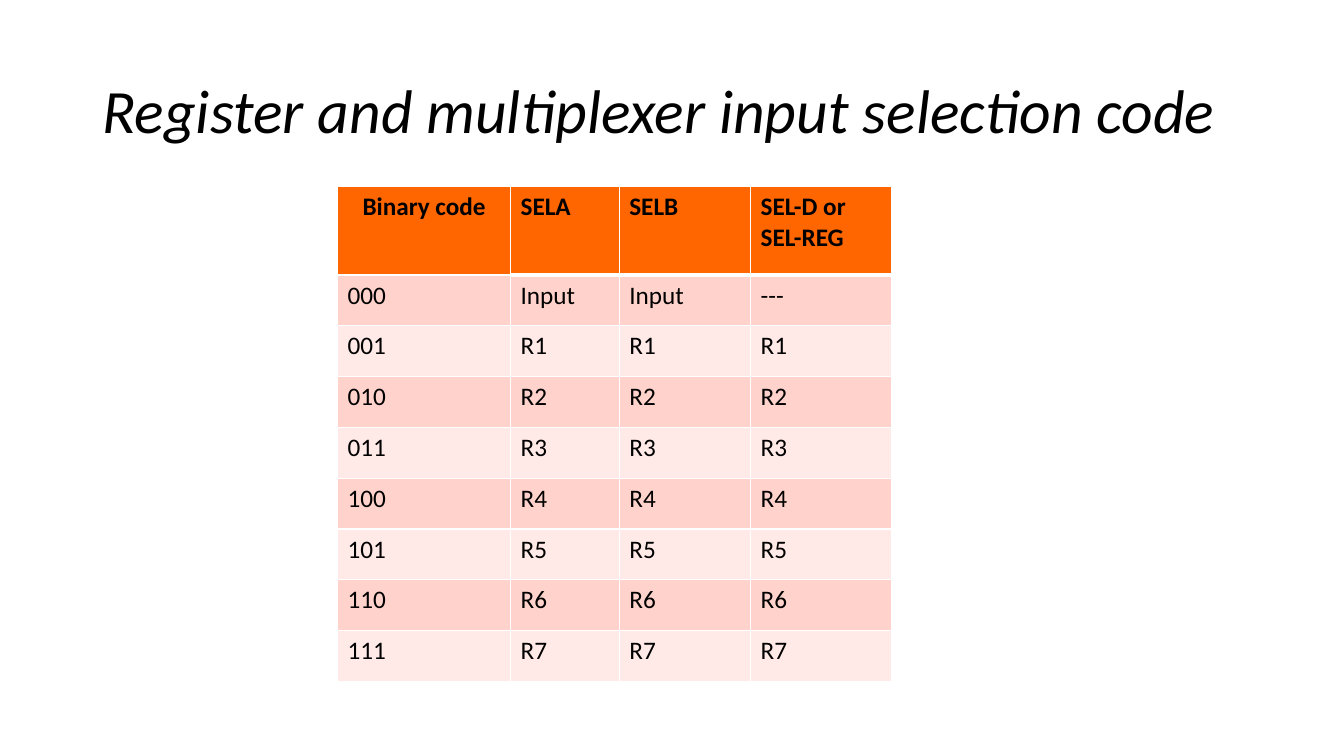
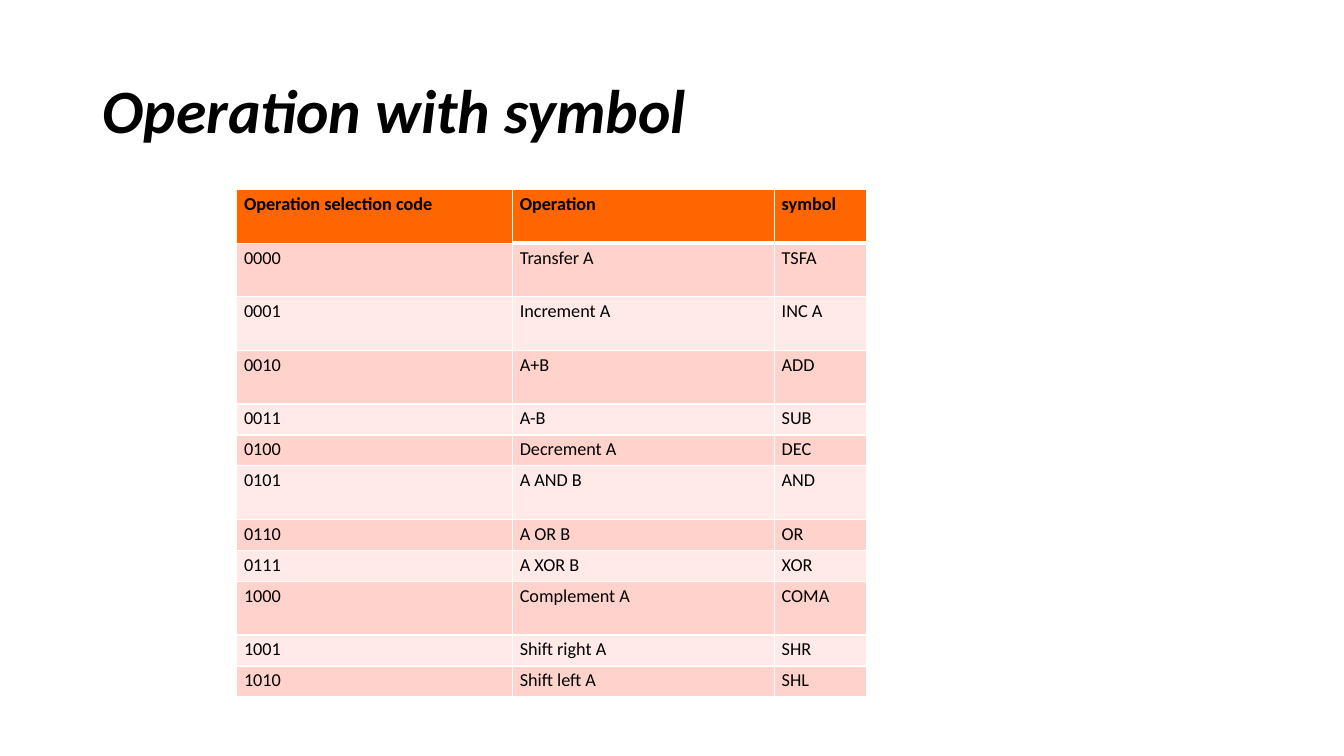
from lxml.etree import SubElement
from pptx import Presentation
from pptx.dml.color import RGBColor
from pptx.enum.text import MSO_ANCHOR, PP_ALIGN
from pptx.oxml.ns import qn
from pptx.util import Cm, Pt

COLORS = {
    "text": "000000",
    "header": "FF6600",
    "odd_row": "FFD3CB",
    "even_row": "FFEAE7",
    "rule": "FFFFFF",
}
FONT = "Calibri"
TITLE_ONLY = 5
TITLE_BOX = (2.33, 1.01, 29.21, 3.68)

REGISTER_HEADINGS = ("Binary code", "SELA", "SELB", "SEL-D or SEL-REG")
REGISTER_CODES = [("000", "Input", "Input", "---")] + [
    (f"{number:03b}",) + (f"R{number}",) * 3 for number in range(1, 8)
]

OPERATION_HEADINGS = ("Operation selection code", "Operation", "symbol")
OPERATIONS = [
    ("Transfer A", "TSFA"),
    ("Increment A", "INC A"),
    ("A+B", "ADD"),
    ("A-B", "SUB"),
    ("Decrement A", "DEC"),
    ("A AND B", "AND"),
    ("A OR B", "OR"),
    ("A XOR B", "XOR"),
    ("Complement A", "COMA"),
    ("Shift right A", "SHR"),
    ("Shift left A", "SHL"),
]
OPERATION_CODES = [
    (f"{code:04b}", *operation) for code, operation in enumerate(OPERATIONS)
]
TALL, SHORT = 1.35, 0.78
TALL_OPERATION_ROWS = {0, 1, 2, 3, 6, 9}


def style_font(font, size, bold, italic=False):
    font.name = FONT
    font.size = Pt(size)
    font.bold = bold
    font.italic = italic
    font.color.rgb = RGBColor.from_string(COLORS["text"])


def add_titled_slide(deck, title_text, bold):
    slide = deck.slides.add_slide(deck.slide_layouts[TITLE_ONLY])
    title = slide.shapes.title
    title.left, title.top, title.width, title.height = map(Cm, TITLE_BOX)
    title.text_frame.text = title_text
    title.text_frame.vertical_anchor = MSO_ANCHOR.MIDDLE
    paragraph = title.text_frame.paragraphs[0]
    paragraph.alignment = PP_ALIGN.LEFT
    paragraph.line_spacing = 0.9
    style_font(paragraph.runs[0].font, 44, bold, italic=True)
    return slide


def set_borders(cell, top, bottom):
    """Rule all four sides of a cell; top and bottom widths are in points."""
    properties = cell._tc.get_or_add_tcPr()
    sides = {"a:lnL": 1, "a:lnR": 1, "a:lnT": top, "a:lnB": bottom}
    for position, (side, width) in enumerate(sides.items()):
        line = SubElement(properties, qn(side), w=str(Pt(width)))
        fill = SubElement(line, qn("a:solidFill"))
        SubElement(fill, qn("a:srgbClr"), val=COLORS["rule"])
        properties.insert(position, line)


def fill_cell(cell, text, row, column, size, margins):
    cell.margin_left = cell.margin_right = Cm(margins[0])
    cell.margin_top = cell.margin_bottom = Cm(margins[1])
    cell.text_frame.text = text
    style_font(cell.text_frame.paragraphs[0].runs[0].font, size, bold=row == 0)
    band = "header" if row == 0 else "odd_row" if row % 2 else "even_row"
    cell.fill.solid()
    cell.fill.fore_color.rgb = RGBColor.from_string(COLORS[band])
    heavy = 3 if column else 1
    set_borders(
        cell,
        top=heavy if row == 1 else 1,
        bottom=heavy if row == 0 else 1,
    )


def add_code_table(slide, left, top, widths, heights, rows, size, margins):
    table = slide.shapes.add_table(
        len(rows), len(widths), Cm(left), Cm(top),
        Cm(sum(widths)), Cm(sum(heights)),
    ).table
    for column, width in zip(table.columns, widths):
        column.width = Cm(width)
    for table_row, height in zip(table.rows, heights):
        table_row.height = Cm(height)
    for row, texts in enumerate(rows):
        for column, text in enumerate(texts):
            fill_cell(table.cell(row, column), text, row, column, size, margins)
    return table


def add_register_slide(deck):
    slide = add_titled_slide(
        deck, "Register and multiplexer input selection code", bold=False
    )
    table = add_code_table(
        slide, 8.51, 4.7,
        widths=(4.36, 2.74, 3.31, 3.54),
        heights=[2.23] + [1.28] * len(REGISTER_CODES),
        rows=[REGISTER_HEADINGS, *REGISTER_CODES],
        size=18, margins=(0.25, 0.13),
    )
    table.cell(0, 0).text_frame.paragraphs[0].alignment = PP_ALIGN.CENTER


def add_operation_slide(deck):
    slide = add_titled_slide(deck, "Operation with symbol", bold=True)
    rows = [OPERATION_HEADINGS, *OPERATION_CODES]
    add_code_table(
        slide, 5.97, 4.78,
        widths=(6.95, 6.6, 2.32),
        heights=[
            TALL if row in TALL_OPERATION_ROWS else SHORT
            for row in range(len(rows))
        ],
        rows=rows,
        size=13, margins=(0.18, 0.09),
    )


def main():
    deck = Presentation()
    deck.slide_width, deck.slide_height = Cm(33.87), Cm(19.05)
    add_register_slide(deck)
    add_operation_slide(deck)
    deck.save("out.pptx")


if __name__ == "__main__":
    main()
